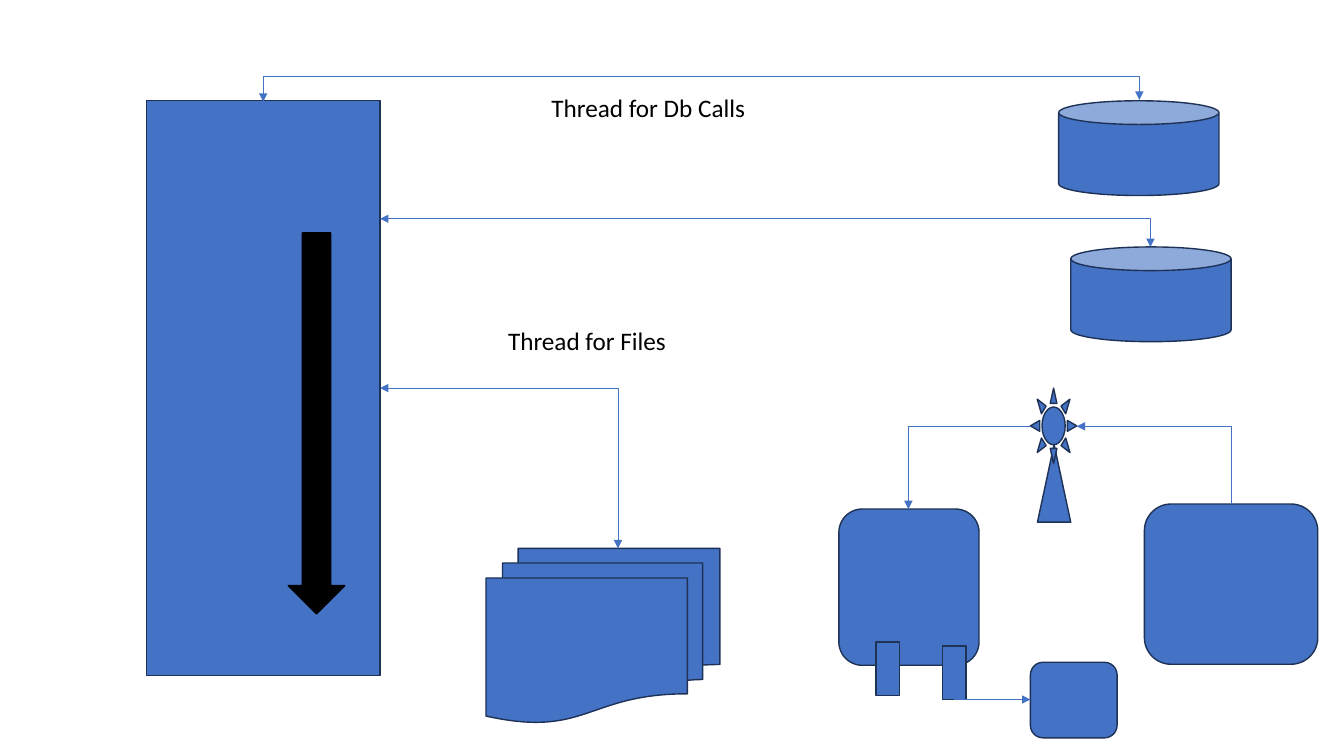
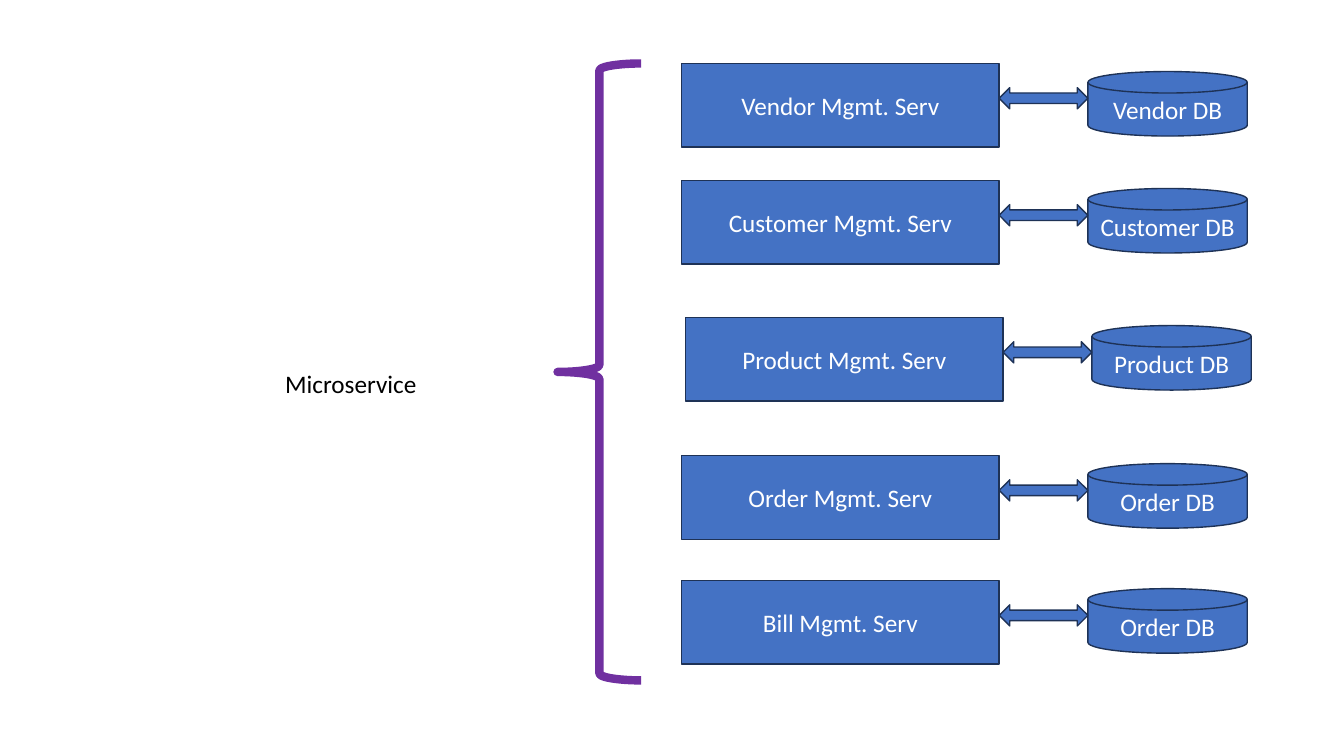
from lxml import etree
from pptx import Presentation
from pptx import util as u
from pptx.dml.color import RGBColor
from pptx.enum import shapes, text
from pptx.oxml.ns import qn

COLORS = {
    "blue": "4472C4",
    "outline": "1E3256",
    "black": "000000",
    "white": "FFFFFF",
    "purple": "7030A0",
}
FONT = "Calibri"
BLANK_LAYOUT = 6
KIND = shapes.MSO_SHAPE


def rgb(name):
    return RGBColor.from_string(COLORS[name])


def write(frame, words, size=18, color="black", align=text.PP_ALIGN.LEFT,
          anchor=text.MSO_ANCHOR.TOP):
    frame.word_wrap = True
    frame.vertical_anchor = anchor
    paragraph = frame.paragraphs[0]
    paragraph.alignment = align
    run = paragraph.add_run()
    run.text = words
    run.font.name = FONT
    run.font.size = u.Pt(size)
    run.font.color.rgb = rgb(color)


def label(slide, words, left, top, width, height=0.4):
    box = slide.shapes.add_textbox(*map(u.Inches, (left, top, width, height)))
    write(box.text_frame, words)


def block(slide, kind, left, top, width, height, words="", fill="blue",
          line="outline", weight=1):
    part = slide.shapes.add_shape(
        kind, *map(u.Inches, (left, top, width, height)))
    part.shadow.inherit = False
    if fill:
        part.fill.solid()
        part.fill.fore_color.rgb = rgb(fill)
    else:
        part.fill.background()
    part.line.color.rgb = rgb(line)
    part.line.width = u.Pt(weight)
    if words:
        write(part.text_frame, words, color="white",
              align=text.PP_ALIGN.CENTER, anchor=text.MSO_ANCHOR.MIDDLE)


def arrow(slide, start, end, heads=("tailEnd",),
          kind=shapes.MSO_CONNECTOR.STRAIGHT):
    """heads: headEnd puts a tip at start, tailEnd at end."""
    link = slide.shapes.add_connector(kind, *map(u.Inches, (*start, *end)))
    link.line.color.rgb = rgb("blue")
    link.line.width = u.Pt(0.5)
    for head in heads:
        etree.SubElement(link.line._get_or_add_ln(), qn("a:" + head),
                         type="triangle")
    properties = link._element.spPr
    etree.SubElement(properties, qn("a:effectLst"))
    return properties


def corner_arrow(slide, start, end, heads):
    """One bend: horizontal from start, then vertical to end."""
    properties = arrow(slide, start, end, heads, shapes.MSO_CONNECTOR.ELBOW)
    properties.find(qn("a:prstGeom")).set("prst", "bentConnector2")


def bridge_arrow(slide, start, end, rise):
    """Two bends: up from start by rise, across, and down to end."""
    middle_x, middle_y = (start[0] + end[0]) / 2, (start[1] + end[1]) / 2
    half_drop, half_span = (start[1] - end[1]) / 2, (end[0] - start[0]) / 2
    # Lay the route out upright, then turn it a quarter clockwise
    properties = arrow(slide, (middle_x + half_drop, middle_y + half_span),
                       (middle_x - half_drop, middle_y - half_span),
                       ("headEnd", "tailEnd"), shapes.MSO_CONNECTOR.ELBOW)
    properties.find(qn("a:xfrm")).set("rot", str(90 * 60000))
    guides = properties.find(qn("a:prstGeom")).get_or_add_avLst()
    bend = round(rise / (2 * half_drop) * 100000)
    etree.SubElement(guides, qn("a:gd"), name="adj1", fmla=f"val {bend}")


def database_calls(slide, left, top):
    both = ("headEnd", "tailEnd")
    block(slide, KIND.CAN, left, top, 1.59, 0.94)
    block(slide, KIND.CAN, left + 0.12, top + 1.45, 1.59, 0.94)
    bridge_arrow(slide, (2.61, 1.01), (left + 0.8, top - 0.01), 0.25)
    corner_arrow(slide, (3.77, 2.17), (left + 0.91, top + 1.45), both)
    label(slide, "Thread for Db Calls", 5.37, 0.87, 3.39)


def file_calls(slide, left, top):
    block(slide, KIND.FLOWCHART_MULTIDOCUMENT, left, top, 2.32, 1.73)
    corner_arrow(slide, (3.77, 3.85), (left + 1.31, top),
                 ("headEnd", "tailEnd"))
    label(slide, "Thread for Files", 4.94, 3.18, 2.52)


def tower_network(slide, left, top):
    # Stations and the tower between them
    block(slide, KIND.ROUNDED_RECTANGLE, left, top + 1.2, 1.39, 1.55)
    block(slide, KIND.ROUNDED_RECTANGLE, left + 3.03, top + 1.15, 1.72, 1.59)
    block(slide, KIND.ISOSCELES_TRIANGLE, left + 1.97, top + 0.56, 0.33, 0.77)
    block(slide, KIND.SUN, left + 1.9, top, 0.46, 0.75)
    signal_y = top + 0.38
    corner_arrow(slide, (left + 2.36, signal_y), (left + 3.89, top + 1.15),
                 ("headEnd",))
    corner_arrow(slide, (left + 1.9, signal_y), (left + 0.69, top + 1.2),
                 ("tailEnd",))
    # Ports and the device below
    block(slide, KIND.RECTANGLE, left + 1.03, top + 2.56, 0.23, 0.53)
    block(slide, KIND.RECTANGLE, left + 0.37, top + 2.52, 0.23, 0.53)
    block(slide, KIND.ROUNDED_RECTANGLE, left + 1.9, top + 2.72, 0.86, 0.75)
    arrow(slide, (left + 1.14, top + 3.09), (left + 1.9, top + 3.09))


def threads_slide(slide):
    block(slide, KIND.RECTANGLE, 1.45, 1, 2.32, 5.7)
    database_calls(slide, 10.5, 1)
    file_calls(slide, 4.82, 5.44)
    tower_network(slide, 8.32, 3.85)
    # Main thread
    block(slide, KIND.DOWN_ARROW, 2.86, 2.31, 0.56, 3.78,
          fill="black", line="black")


def service_row(slide, left, top, service, database):
    block(slide, KIND.RECTANGLE, left, top, 3.15, 0.83, service)
    block(slide, KIND.FLOWCHART_MAGNETIC_DISK, left + 4.03, top + 0.08,
          1.58, 0.64, database)
    block(slide, KIND.LEFT_RIGHT_ARROW, left + 3.15, top + 0.24, 0.88, 0.21)


def microservice_slide(slide):
    services = [
        (6.76, 0.63, "Vendor", "Vendor"),
        (6.76, 1.79, "Customer", "Customer"),
        (6.8, 3.15, "Product", "Product"),
        (6.76, 4.52, "Order", "Order"),
        (6.76, 5.76, "Bill", "Order"),
    ]
    for left, top, service, database in services:
        service_row(slide, left, top, f"{service} Mgmt. Serv",
                    f"{database} DB")
    block(slide, KIND.LEFT_BRACE, 5.53, 0.63, 0.83, 6.12,
          fill=None, line="purple", weight=6)
    label(slide, "Microservice", 2.73, 3.61, 2.36)


deck = Presentation()
deck.slide_width, deck.slide_height = u.Inches(13.33), u.Inches(7.5)
for build in (threads_slide, microservice_slide):
    build(deck.slides.add_slide(deck.slide_layouts[BLANK_LAYOUT]))
deck.save("out.pptx")
